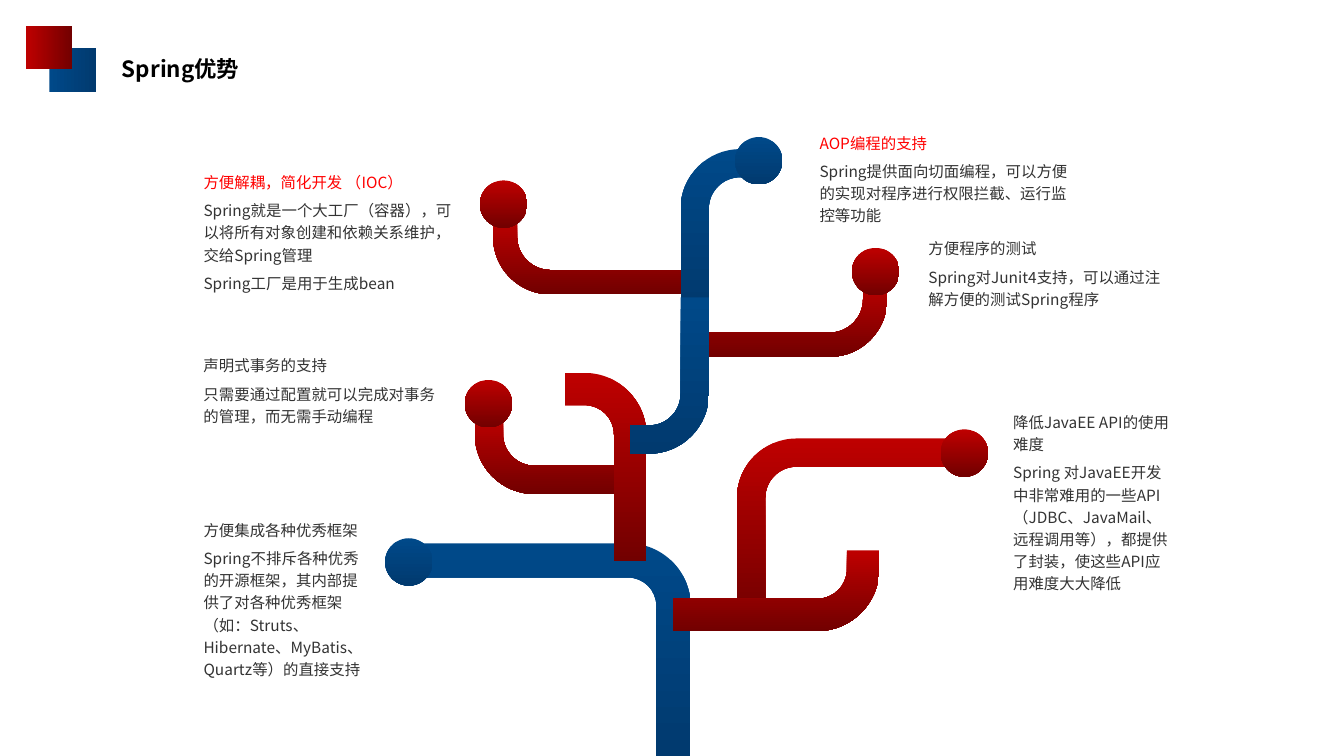
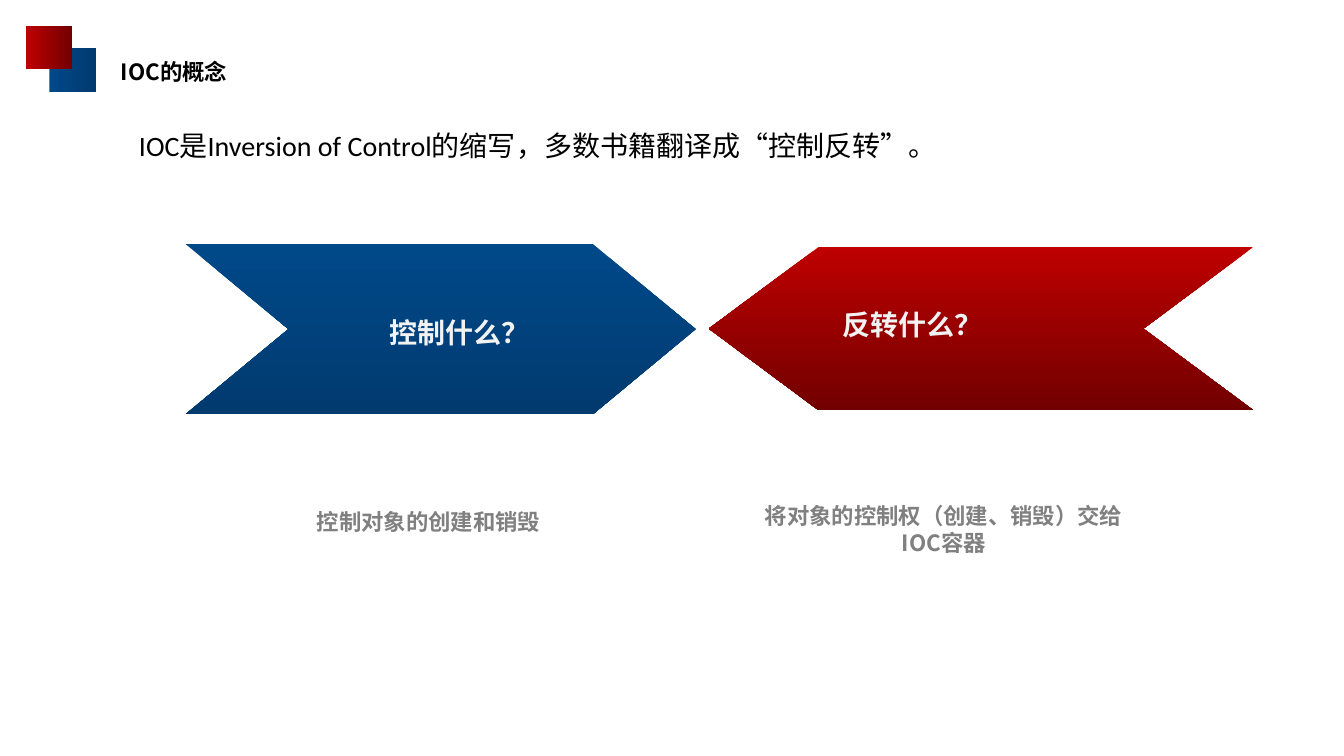
import math
from dataclasses import dataclass

from lxml import etree
from pptx import Presentation
from pptx.dml.color import RGBColor
from pptx.enum.shapes import MSO_SHAPE
from pptx.enum.text import MSO_ANCHOR, MSO_AUTO_SIZE, PP_ALIGN
from pptx.oxml.ns import qn
from pptx.util import Pt

RECTANGLE, OVAL, CHEVRON = MSO_SHAPE.RECTANGLE, MSO_SHAPE.OVAL, MSO_SHAPE.CHEVRON
TOP, MIDDLE = MSO_ANCHOR.TOP, MSO_ANCHOR.MIDDLE
LEFT, CENTER = PP_ALIGN.LEFT, PP_ALIGN.CENTER
NO_AUTOFIT = MSO_AUTO_SIZE.NONE

EMU_PER_PX = 9144
SLIDE_WIDTH, SLIDE_HEIGHT = 1333, 750
TITLE_ONLY = 5
CJK_FONT = "Noto Sans CJK SC"
BEND_RADIUS = 45
QUARTER_CIRCLE = 0.55
OUTER_BEND, INNER_BEND = 1, 5
KNOB_SIZE = 47
DOWNWARD, UPWARD, RIGHTWARD = 270, 90, 0
FIRST_EMBLEM_ID = 20

COLORS = {
    "black": "000000",
    "body": "333333",
    "highlight": "FF0000",
    "caption": "808080",
    "arrow_text": "F2F2F2",
}
GRADIENTS = {"blue": ("004989", "013A6F"), "red": ("BE0000", "720000")}

Point = tuple[float, float]
Box = tuple[int, int, int, int]


@dataclass(frozen=True)
class Branch:
    start: Point
    corner: Point
    end: Point
    width: int
    gradient: str


@dataclass(frozen=True)
class Knob:
    left: int
    top: int
    gradient: str


@dataclass(frozen=True)
class Style:
    size: int
    color: str
    bold: bool = False
    font: str = CJK_FONT
    align: PP_ALIGN = LEFT
    anchor: MSO_ANCHOR = TOP
    line_spacing: float = 1.0
    space_after: float = 0


@dataclass(frozen=True)
class Advantage:
    box: Box
    paragraphs: tuple[str, ...]
    heading_color: str = "body"


@dataclass(frozen=True)
class Arrow:
    box: Box
    point: int
    gradient: str
    rotation: int
    gradient_angle: int
    label_box: Box
    label: str
    caption_box: Box
    caption: str


TITLE = Style(16, "black", bold=True, anchor=MIDDLE)
ADVANTAGE = Style(11, "body", line_spacing=1.2, space_after=4.5)
DEFINITION = Style(20, "black", font="Calibri")
ARROW_LABEL = Style(20, "arrow_text", bold=True, font="Arial", align=CENTER,
                    anchor=MIDDLE, line_spacing=1.2)
ARROW_CAPTION = Style(16, "caption", bold=True, align=CENTER)

EMBLEM = (((49, 48, 46, 43), "blue"), ((26, 26, 46, 43), "red"))
BRANCHES = (
    Branch((745, 616), (745, 449), (958, 449), 28, "red"),
    Branch((404, 556), (668, 556), (668, SLIDE_HEIGHT), 34, "blue"),
    Branch((668, 610), (856, 610), (856, 546), 32, "red"),
    Branch((694, 342), (868, 342), (868, 277), 24, "red"),
    Branch((685, 280), (501, 280), (501, 216), 24, "red"),
    Branch((625, 476), (485, 476), (485, 412), 28, "red"),
    Branch((689, 302), (689, 162), (754, 162), 28, "blue"),
    Branch((625, 557), (625, 386), (560, 386), 32, "red"),
    Branch((625, 436), (689, 436), (689, 295), 28, "blue"),
)
KNOBS = (
    Knob(382, 534, "blue"),
    Knob(461, 377, "red"),
    Knob(933, 426, "red"),
    Knob(845, 246, "red"),
    Knob(476, 179, "red"),
    Knob(729, 136, "blue"),
)
ADVANTAGES = (
    Advantage((192, 508, 182, 173), (
        "方便集成各种优秀框架",
        "Spring不排斥各种优秀的开源框架，其内部提供了对各种优秀框架"
        "（如：Struts、Hibernate、MyBatis、Quartz等）的直接支持")),
    Advantage((192, 345, 263, 84), (
        "声明式事务的支持",
        "只需要通过配置就可以完成对事务的管理，而无需手动编程")),
    Advantage((995, 401, 177, 195), (
        "降低JavaEE API的使用难度",
        "Spring 对JavaEE开发中非常难用的一些API（JDBC、JavaMail、远程调用等），"
        "都提供了封装，使这些API应用难度大大降低")),
    Advantage((911, 229, 258, 84), (
        "方便程序的测试",
        "Spring对Junit4支持，可以通过注解方便的测试Spring程序")),
    Advantage((192, 163, 275, 136), (
        "方便解耦，简化开发 （IOC）",
        "Spring就是一个大工厂（容器），可以将所有对象创建和依赖关系维护，交给Spring管理",
        "Spring工厂是用于生成bean"), "highlight"),
    Advantage((803, 124, 275, 106), (
        "AOP编程的支持",
        "Spring提供面向切面编程，可以方便的实现对程序进行权限拦截、运行监控等功能"),
        "highlight"),
)
ARROWS = (
    Arrow((184, 242, 506, 169), 102, "blue", 0, DOWNWARD,
          (236, 286, 440, 80), "控制什么？",
          (229, 499, 392, 37), "控制对象的创建和销毁"),
    Arrow((703, 245, 540, 162), 109, "red", 180, UPWARD,
          (788, 295, 234, 47), "反转什么？",
          (732, 493, 408, 64), "将对象的控制权（创建、销毁）交给IOC容器"),
)


def px(length: float) -> int:
    return round(length * EMU_PER_PX)


def paint(shape, gradient: str, angle: int = DOWNWARD) -> None:
    shape.shadow.inherit = False
    shape.line.fill.background()
    shape.fill.gradient()
    shape.fill.gradient_angle = angle
    stops = shape.fill.gradient_stops
    for stop, color, position in zip(stops, GRADIENTS[gradient], (0, 1)):
        stop.color.rgb = RGBColor.from_string(color)
        stop.position = position


def add_preset(slide, preset: MSO_SHAPE, box: Box, gradient: str, angle: int = DOWNWARD):
    shape = slide.shapes.add_shape(preset, *map(px, box))
    paint(shape, gradient, angle)
    return shape


def write(frame, paragraphs: tuple[str, ...], style: Style,
          heading_color: str | None = None) -> None:
    frame.text = "\n".join(paragraphs)
    frame.word_wrap = True
    frame.auto_size = NO_AUTOFIT
    frame.vertical_anchor = style.anchor
    for index, paragraph in enumerate(frame.paragraphs):
        paragraph.alignment = style.align
        paragraph.line_spacing = style.line_spacing
        paragraph.space_before = Pt(0)
        paragraph.space_after = Pt(style.space_after)
        color = heading_color if heading_color and index == 0 else style.color
        for run in paragraph.runs:
            run.font.size = Pt(style.size)
            run.font.bold = style.bold
            run.font.color.rgb = RGBColor.from_string(COLORS[color])
            run.font.name = style.font
            east_asian = etree.SubElement(run.font._element, qn("a:ea"))
            east_asian.set("typeface", CJK_FONT)


def add_text(slide, box: Box, paragraphs: tuple[str, ...], style: Style,
             heading_color: str | None = None) -> None:
    frame = slide.shapes.add_textbox(*map(px, box)).text_frame
    write(frame, paragraphs, style, heading_color)


def add_titled_slide(deck, title: str, left: int, top: int):
    slide = deck.slides.add_slide(deck.slide_layouts[TITLE_ONLY])
    heading = slide.shapes.title
    heading.left, heading.top, heading.width, heading.height = map(px, (left, top, 341, 45))
    frame = heading.text_frame
    frame.margin_left = frame.margin_right = px(18)
    frame.margin_top = frame.margin_bottom = px(9)
    write(frame, (title,), TITLE)
    return slide


def move_emblem_to_layout(slide) -> None:
    for index, (box, gradient) in enumerate(EMBLEM):
        square = add_preset(slide, RECTANGLE, box, gradient, RIGHTWARD)._element
        square.nvSpPr.cNvPr.set("id", str(FIRST_EMBLEM_ID + index))
        slide.slide_layout.shapes._spTree.append(square)


def direction(origin: Point, target: Point) -> Point:
    dx, dy = target[0] - origin[0], target[1] - origin[1]
    length = math.hypot(dx, dy)
    return dx / length, dy / length


def branch_outline(branch: Branch) -> list[Point]:
    ux, uy = direction(branch.start, branch.corner)
    vx, vy = direction(branch.corner, branch.end)
    center_x = branch.corner[0] + (vx - ux) * BEND_RADIUS
    center_y = branch.corner[1] + (vy - uy) * BEND_RADIUS

    def edge(offset: float) -> list[Point]:
        radius = BEND_RADIUS + offset
        return [
            (branch.start[0] - vx * offset, branch.start[1] - vy * offset),
            (center_x - vx * radius, center_y - vy * radius),
            (center_x + ux * radius, center_y + uy * radius),
            (branch.end[0] + ux * offset, branch.end[1] + uy * offset),
        ]

    return edge(branch.width / 2) + edge(-branch.width / 2)[::-1]


def round_bend(segments: list, index: int, horizontal_first: bool) -> None:
    (x0, y0), (x1, y1) = ((int(segment[0].get("x")), int(segment[0].get("y")))
                          for segment in segments[index - 1:index + 1])
    corner_x, corner_y = (x1, y0) if horizontal_first else (x0, y1)
    curve = etree.Element(qn("a:cubicBezTo"))
    for x, y in ((x0, y0), (x1, y1)):
        control = etree.SubElement(curve, qn("a:pt"))
        control.set("x", str(round(x + (corner_x - x) * QUARTER_CIRCLE)))
        control.set("y", str(round(y + (corner_y - y) * QUARTER_CIRCLE)))
    line = segments[index]
    line.getparent().replace(line, curve)
    curve.append(line[0])


def add_branch(slide, branch: Branch) -> None:
    first, *others = [(px(x), px(y)) for x, y in branch_outline(branch)]
    builder = slide.shapes.build_freeform(*first)
    builder.add_line_segments(others, close=True)
    tube = builder.convert_to_shape()
    segments = list(tube._element.iter(qn("a:lnTo")))
    starts_horizontal = branch.start[1] == branch.corner[1]
    round_bend(segments, OUTER_BEND, starts_horizontal)
    round_bend(segments, INNER_BEND, not starts_horizontal)
    paint(tube, branch.gradient)


def add_arrow(slide, arrow: Arrow) -> None:
    chevron = add_preset(slide, CHEVRON, arrow.box, arrow.gradient, arrow.gradient_angle)
    chevron.adjustments[0] = arrow.point / arrow.box[3]
    chevron.rotation = arrow.rotation
    add_text(slide, arrow.label_box, (arrow.label,), ARROW_LABEL)
    add_text(slide, arrow.caption_box, (arrow.caption,), ARROW_CAPTION)


def build_advantages(deck) -> None:
    slide = add_titled_slide(deck, "Spring优势", 103, 46)
    move_emblem_to_layout(slide)
    for branch in BRANCHES:
        add_branch(slide, branch)
    for knob in KNOBS:
        add_preset(slide, OVAL, (knob.left, knob.top, KNOB_SIZE, KNOB_SIZE), knob.gradient)
    for advantage in ADVANTAGES:
        add_text(slide, advantage.box, advantage.paragraphs, ADVANTAGE, advantage.heading_color)


def build_concept(deck) -> None:
    slide = add_titled_slide(deck, "IOC的概念", 102, 48)
    add_text(slide, (128, 123, 1162, 44),
             ("IOC是Inversion of Control的缩写，多数书籍翻译成“控制反转”。",), DEFINITION)
    for arrow in ARROWS:
        add_arrow(slide, arrow)


def main() -> None:
    deck = Presentation()
    deck.slide_width, deck.slide_height = px(SLIDE_WIDTH), px(SLIDE_HEIGHT)
    build_advantages(deck)
    build_concept(deck)
    deck.save("out.pptx")


if __name__ == "__main__":
    main()
